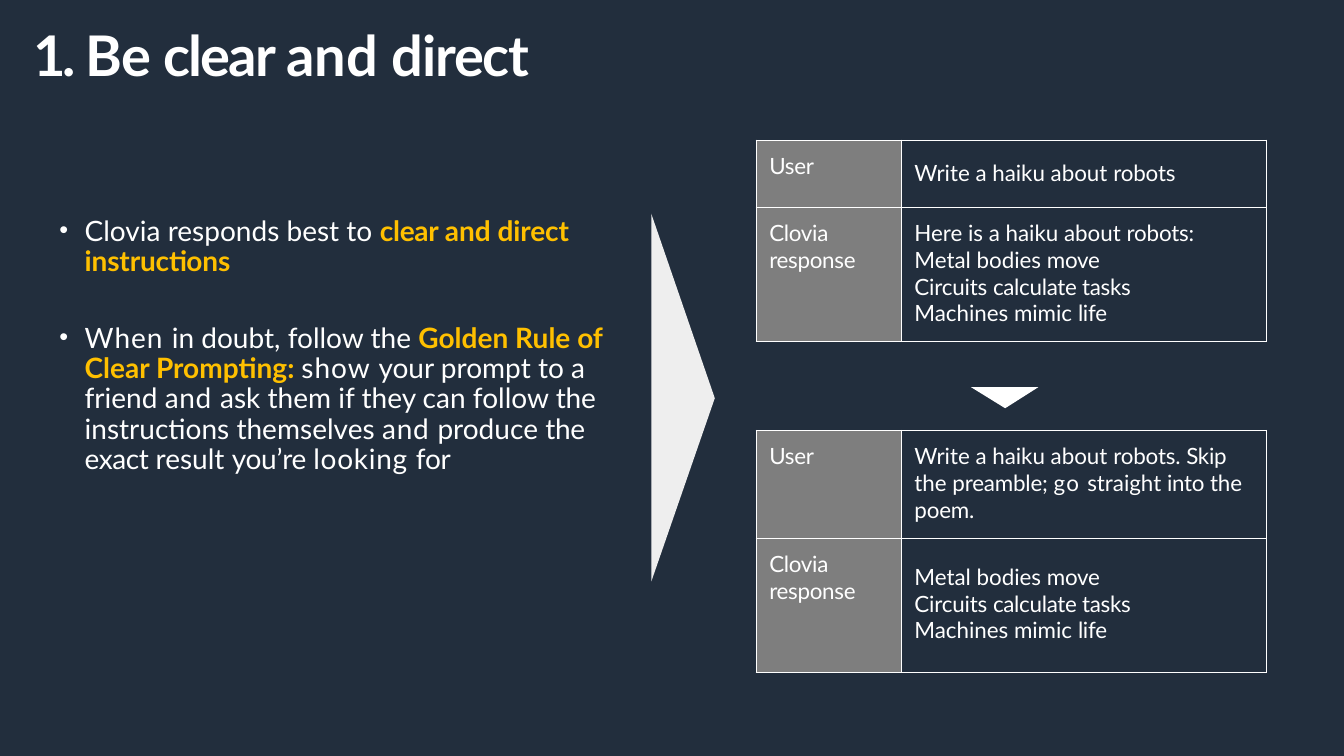
"""Build the slide on clear and direct prompting."""
from lxml.etree import SubElement
from pptx import Presentation
from pptx.dml.color import RGBColor
from pptx.oxml.ns import qn
from pptx.util import Inches, Pt

COLORS = {"navy": "222E3D", "white": "FFFFFF", "pale": "EEEEEE",
          "gold": "FFC000", "gray": "7E7E7E"}


def paint(fill, color):
    fill.solid()
    fill.fore_color.rgb = RGBColor.from_string(COLORS[color])


def write(para, spans, size, color="white", bold=False):
    for text, spacing, *accent in spans:
        span = para.add_run()
        span.text = text
        span.font.name = "Lato"
        span.font.size = Pt(size)
        span.font.bold = bold or bool(accent)
        paint(span.font.fill, accent[0] if accent else color)
        if spacing:
            span.font._element.set("spc", str(round(spacing * 100)))


deck = Presentation()
deck.slide_width, deck.slide_height = Inches(13.33), Inches(7.5)
page = deck.slides.add_slide(deck.slide_layouts[6])
paint(page.background.fill, "navy")

triangles = [
    ("pale", [(6.46, 2.12), (6.46, 5.77), (7.09, 3.95)]),
    ("white", [(10.3, 3.84), (9.63, 3.84), (9.97, 4.05)]),
]
for color, corners in triangles:
    start, *others = [(Inches(x), Inches(y)) for x, y in corners]
    outline = page.shapes.build_freeform(*start)
    outline.add_line_segments(others, close=True)
    triangle = outline.convert_to_shape()
    triangle.shadow.inherit = False
    paint(triangle.fill, color)
    triangle.line.fill.background()

title_spans = [("1. ", -2.5), ("Be ", -0.6), ("clear ", -1.4), ("and ", 0), ("direct", -0.9)]
bullets = [
    [("Clovia responds best to ", 0), ("clear ", -0.2, "gold"), ("and ", 0, "gold"),
     ("direct instructions", -0.1, "gold")],
    [("When ", 0.7), ("in doubt, follow the ", 0), ("Golden Rule ", 0, "gold"),
     ("of ", -0.2, "gold"), ("Clear Prompting: ", 0, "gold"), ("show ", 0.7),
     ("your prompt to ", 0), ("a ", -0.5), ("friend ", 0), ("and ", 0.5),
     ("ask them if they can follow ", 0), ("the ", -0.2),
     ("instructions themselves ", 0), ("and ", 0.5), ("produce ", 0), ("the ", -0.2),
     ("exact ", -0.3), ("result ", 0), ("you’re ", -0.2), ("looking ", 0.5), ("for", -0.2)],
]
frames = []
for left, top, width, height, inset in [(0.33, 0.19, 5.23, 0.69, 0.01),
                                        (0.58, 2.1, 5.6, 2.63, 0.05)]:
    box = page.shapes.add_textbox(Inches(left), Inches(top), Inches(width), Inches(height))
    frame = box.text_frame
    frame.word_wrap = True
    frame.margin_left = frame.margin_right = frame.margin_bottom = 0
    frame.margin_top = Inches(inset)
    frames.append(frame)
title, body = frames
write(title.paragraphs[0], title_spans, 40, bold=True)

for index, spans in enumerate(bullets):
    para = body.add_paragraph() if index else body.paragraphs[0]
    para.line_spacing = Pt(21.6)
    para.space_before = Pt(33.4 if index else 0)
    settings = para._p.get_or_add_pPr()
    settings.set("marL", str(Inches(0.26)))
    settings.set("indent", str(Inches(-0.25)))
    SubElement(settings, qn("a:buSzPct"), val="90000")
    SubElement(settings, qn("a:buFont"), typeface="Arial")
    SubElement(settings, qn("a:buChar"), char="•")
    write(para, spans, 20)

poem = [
    [("Metal bodies ", 0), ("move", -0.2)],
    [("Circuits ", -0.1), ("calculate tasks", -0.2)],
    [("Machines mimic ", 0), ("life", -0.2)],
]
vague_request = [[("Write a haiku about ", 0), ("robots", -0.1)]]
clear_request = [[("Write a haiku about ", 0), ("robots. ", -0.1), ("Skip ", -0.2),
                  ("the ", 0), ("preamble; ", -0.1), ("go ", 0.9), ("straight ", 0),
                  ("into ", -0.2), ("the ", 0), ("poem.", -0.1)]]
preamble = [("Here is a haiku about ", 0), ("robots:", -0.1)]
dialogues = [
    (1.39, [("User", 0.67, 0.19, vague_request),
            ("Clovia response", 1.33, 0.12, [preamble] + poem)]),
    (4.27, [("User", 1.07, 0.12, clear_request),
            ("Clovia response", 1.33, 0.25, poem)]),
]
for top, rows in dialogues:
    total = sum(row[1] for row in rows)
    table = page.shapes.add_table(2, 2, Inches(7.5), Inches(top),
                                  Inches(5.06), Inches(total)).table
    table.first_row = table.horz_banding = False
    for column, width in zip(table.columns, (1.44, 3.62)):
        column.width = Inches(width)
    for row_index, (speaker, height, inset, lines) in enumerate(rows):
        table.rows[row_index].height = Inches(height)
        contents = [(0.12, [[(speaker, -0.2)]]), (inset, lines)]
        for column_index, (margin, paragraphs) in enumerate(contents):
            cell = table.cell(row_index, column_index)
            cell.margin_left, cell.margin_right = Inches(0.13), Inches(0.2)
            cell.margin_top, cell.margin_bottom = Inches(margin), 0
            for side in ("lnL", "lnR", "lnT", "lnB"):
                border = SubElement(cell._tc.get_or_add_tcPr(), qn(f"a:{side}"),
                                    w=str(Pt(1)))
                solid = SubElement(border, qn("a:solidFill"))
                SubElement(solid, qn("a:srgbClr"), val=COLORS["white"])
            if column_index:
                cell.fill.background()
            else:
                paint(cell.fill, "gray")
            for index, spans in enumerate(paragraphs):
                frame = cell.text_frame
                para = frame.add_paragraph() if index else frame.paragraphs[0]
                write(para, spans, 16)

deck.save("out.pptx")
